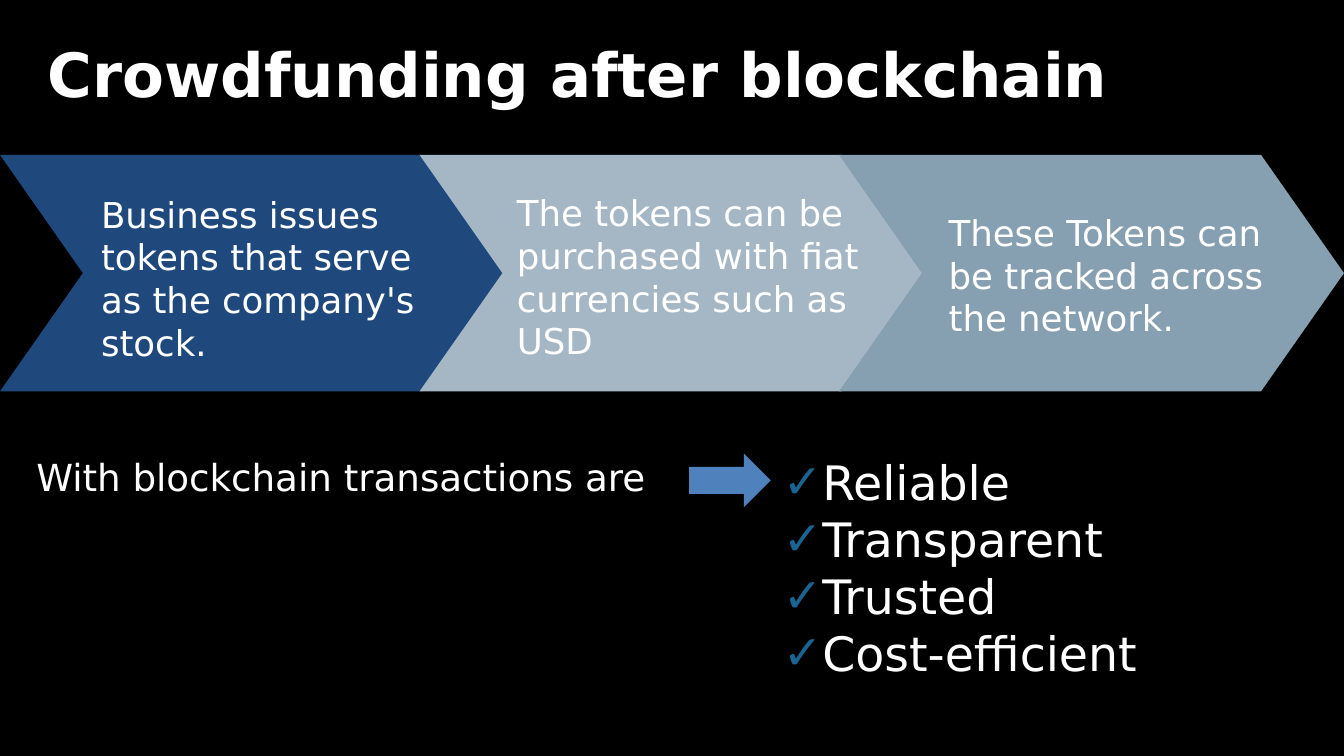
from lxml import etree
from pptx import Presentation
from pptx.dml.color import RGBColor
from pptx.enum.shapes import MSO_SHAPE
from pptx.enum.text import MSO_ANCHOR, MSO_AUTO_SIZE, PP_ALIGN
from pptx.oxml.ns import qn
from pptx.util import Inches, Pt

CHEVRON, RIGHT_ARROW = MSO_SHAPE.CHEVRON, MSO_SHAPE.RIGHT_ARROW
MIDDLE, TOP, LEFT = MSO_ANCHOR.MIDDLE, MSO_ANCHOR.TOP, PP_ALIGN.LEFT
NO_AUTOFIT = MSO_AUTO_SIZE.NONE

BLACK = RGBColor(0x00, 0x00, 0x00)
WHITE = RGBColor(0xFF, 0xFF, 0xFF)
NAVY = RGBColor(0x1F, 0x49, 0x7D)
PALE_BLUE = RGBColor(0xA5, 0xB7, 0xC5)
GREY_BLUE = RGBColor(0x86, 0x9F, 0xB1)
ARROW_BLUE = RGBColor(0x4F, 0x81, 0xBD)
CHECK_BLUE = RGBColor(0x19, 0x64, 0x91)
FONT = "DejaVu Sans"

TITLE = "Crowdfunding after blockchain"
# Step text, chevron colour, text box (left, top, width, height)
STEPS = [
    ("Business issues tokens that serve as the company's stock.",
     NAVY, (0.73, 1.53, 2.89, 1.5)),
    ("The tokens can be purchased with fiat currencies such as USD",
     PALE_BLUE, (4.14, 1.52, 3.13, 1.5)),
    ("These Tokens can be tracked across the network.",
     GREY_BLUE, (7.68, 1.68, 3.07, 1.15)),
]
LEAD_IN = "With blockchain transactions are"
BENEFITS = ["Reliable", "Transparent", "Trusted", "Cost-efficient"]

SLIDE_WIDTH, SLIDE_HEIGHT = 11.02, 6.2
CHEVRON_TOP, CHEVRON_WIDTH, CHEVRON_HEIGHT = 1.27, 4.14, 1.94
CHEVRON_POINT = 0.68
CHEVRON_STEP = (SLIDE_WIDTH - CHEVRON_WIDTH) / (len(STEPS) - 1)
CHECK_INDENT = 0.31


def inches(box):
    return [Inches(length) for length in box]


def add_check(paragraph):
    properties = paragraph._p.get_or_add_pPr()
    properties.set("marL", str(Inches(CHECK_INDENT)))
    properties.set("indent", str(-Inches(CHECK_INDENT)))
    color = etree.SubElement(properties, qn("a:buClr"))
    etree.SubElement(color, qn("a:srgbClr"), val=str(CHECK_BLUE))
    etree.SubElement(properties, qn("a:buFont"), typeface=FONT)
    etree.SubElement(properties, qn("a:buChar"), char="✓")


def write(frame, lines, size, bold=False, anchor=TOP, spacing=None, checked=False):
    frame.word_wrap = True
    frame.auto_size = NO_AUTOFIT
    frame.vertical_anchor = anchor
    for index, line in enumerate(lines):
        paragraph = frame.paragraphs[0] if index == 0 else frame.add_paragraph()
        paragraph.alignment = LEFT
        if spacing:
            paragraph.line_spacing = spacing
        if checked:
            add_check(paragraph)
        run = paragraph.add_run()
        run.text = line
        run.font.name = FONT
        run.font.size = Pt(size)
        run.font.bold = bold
        run.font.color.rgb = WHITE


def add_text(slide, box, lines, size, **text_format):
    write(slide.shapes.add_textbox(*inches(box)).text_frame, lines, size, **text_format)


def add_filled(slide, kind, box, color):
    shape = slide.shapes.add_shape(kind, *inches(box))
    shape.shadow.inherit = False
    shape.fill.solid()
    shape.fill.fore_color.rgb = color
    shape.line.fill.background()
    return shape


def main():
    deck = Presentation()
    deck.slide_width, deck.slide_height = inches((SLIDE_WIDTH, SLIDE_HEIGHT))
    slide = deck.slides.add_slide(deck.slide_layouts[5])
    slide.background.fill.solid()
    slide.background.fill.fore_color.rgb = BLACK

    title = slide.shapes.title
    title.left, title.top, title.width, title.height = inches((0.29, 0.31, 10.46, 0.65))
    write(title.text_frame, [TITLE], 36, bold=True, anchor=MIDDLE, spacing=0.9)

    for index, (_, color, _) in enumerate(STEPS):
        box = (index * CHEVRON_STEP, CHEVRON_TOP, CHEVRON_WIDTH, CHEVRON_HEIGHT)
        chevron = add_filled(slide, CHEVRON, box, color)
        chevron.adjustments[0] = CHEVRON_POINT / CHEVRON_HEIGHT
    for text, _, text_box in STEPS:
        add_text(slide, text_box, [text], 21)

    add_filled(slide, RIGHT_ARROW, (5.65, 3.72, 0.67, 0.44), ARROW_BLUE)
    add_text(slide, (0.2, 3.68, 10.01, 0.46), [LEAD_IN], 22)
    add_text(slide, (6.32, 3.67, 3.89, 1.96), BENEFITS, 28, checked=True)
    deck.save("out.pptx")


if __name__ == "__main__":
    main()
